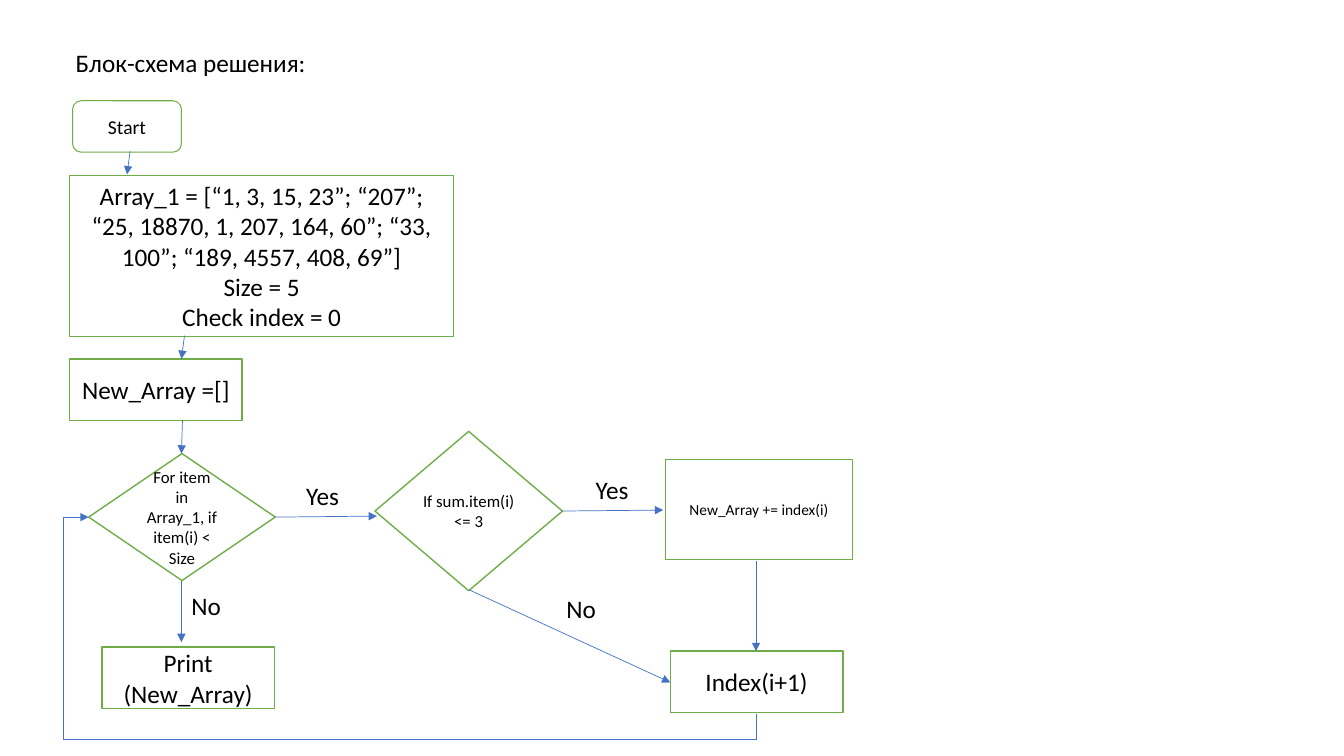
from pptx import Presentation
from pptx.dml.color import RGBColor
from pptx.enum.shapes import MSO_CONNECTOR as LINE, MSO_SHAPE as SHAPE
from pptx.enum.text import MSO_ANCHOR, MSO_AUTO_SIZE, PP_ALIGN
from pptx.oxml.ns import qn
from pptx.util import Inches, Pt
from lxml.etree import SubElement

COLORS = {"text": "000000", "fill": "FFFFFF", "box": "70AD47", "arrow": "4472C4"}
RGB = {name: RGBColor.from_string(value) for name, value in COLORS.items()}

prs = Presentation()
prs.slide_width, prs.slide_height = Inches(13.333), Inches(7.5)
slide = prs.slides.add_slide(prs.slide_layouts[5])

# Grid: 100 columns by 100 rows
COL, ROW = prs.slide_width / 100, prs.slide_height / 100
STEP = (12.83, 8.13)   # width and height of a small process box
LABEL = (4.2, 5.33)


def write(sp, text, size, align):
    tf = sp.text_frame
    tf.word_wrap = True
    tf.auto_size = MSO_AUTO_SIZE.NONE
    tf.text = text
    for p in tf.paragraphs:
        p.alignment = align
        p.font.name, p.font.size = "Calibri", Pt(size)
        p.font.color.rgb = RGB["text"]


def style_arrow(c):
    c.line.color.rgb = RGB["arrow"]
    c.line.width = Pt(0.5)
    props = c.line._get_or_add_ln()
    SubElement(props, qn("a:tailEnd"), type="triangle")
    SubElement(c._element.spPr, qn("a:effectLst"))


# Title
title = slide.shapes.title
title.left, title.top = int(4.88 * COL), int(5.6 * ROW)
title.width, title.height = int(19.35 * COL), int(5.33 * ROW)
write(title, "Блок-схема решения:", 18, PP_ALIGN.LEFT)
title.text_frame.vertical_anchor = MSO_ANCHOR.TOP

# Flowchart boxes: shape, column, row, (width, height), size, line, text
PROCESS, DECISION = SHAPE.FLOWCHART_PROCESS, SHAPE.FLOWCHART_DECISION
array_text = ("Array_1 = [“1, 3, 15, 23”; “207”; “25, 18870, 1, 207, 164, 60”; "
              "“33, 100”; “189, 4557, 408, 69”]\nSize = 5\nCheck index = 0")
boxes = [
    (SHAPE.FLOWCHART_ALTERNATE_PROCESS, 5.4, 13.33, (8.1, 6.8), 14, 0.75, "Start"),
    (PROCESS, 5.18, 23.2, (28.58, 21.33), 18, 1, array_text),
    (PROCESS, 5.18, 47.47, STEP, 18, 1, "New_Array =[]"),
    (DECISION, 6.6, 60, (13.88, 16.8), 12, 1, "For item in Array_1, if item(i) < Size"),
    (PROCESS, 7.58, 85.6, STEP, 18, 1, "Print (New_Array)"),
    (SHAPE.DIAMOND, 27.9, 57.07, (13.95, 21.07), 12, 1, "If sum.item(i) <= 3"),
    (SHAPE.RECTANGLE, 49.5, 60.8, (13.95, 13.2), 11, 1, "New_Array += index(i)"),
    (PROCESS, 49.88, 86.13, STEP, 18, 1, "Index(i+1)"),
]
for kind, x, y, (w, h), size, line, text in boxes:
    sp = slide.shapes.add_shape(kind, int(x * COL), int(y * ROW), int(w * COL), int(h * ROW))
    sp.shadow.inherit = False
    sp.fill.solid()
    sp.fill.fore_color.rgb = RGB["fill"]
    sp.line.color.rgb = RGB["box"]
    sp.line.width = Pt(line)
    write(sp, text, size, PP_ALIGN.CENTER)
    tf = sp.text_frame
    tf.vertical_anchor = MSO_ANCHOR.MIDDLE
    if kind == SHAPE.DIAMOND:
        tf.margin_left = tf.margin_right = tf.margin_top = tf.margin_bottom = 0

# Branch labels
for text, x, y in [("No", 13.5, 77.47), ("Yes", 22.05, 62.93),
                   ("Yes", 43.58, 62.13), ("No", 41.4, 77.87)]:
    label = slide.shapes.add_textbox(int(x * COL), int(y * ROW),
                                     int(LABEL[0] * COL), int(LABEL[1] * ROW))
    write(label, text, 18, PP_ALIGN.LEFT)

# Straight arrows: from column and row, to column and row
arrows = [
    (9.68, 20, 9.45, 23.07),           # start to array
    (13.73, 44.4, 13.5, 47.47),        # array to new array
    (13.58, 55.6, 13.5, 60),           # new array to loop test
    (13.5, 76.8, 13.5, 84.93),         # loop test to print
    (20.4, 68.4, 28.05, 68.27),        # loop test to sum test
    (41.78, 67.6, 49.35, 67.47),       # sum test to append
    (34.88, 78, 49.88, 90.27),         # sum test to next index
    (56.25, 74.27, 56.25, 86.13),      # append to next index
]
for x1, y1, x2, y2 in arrows:
    style_arrow(slide.shapes.add_connector(
        LINE.STRAIGHT, int(x1 * COL), int(y1 * ROW), int(x2 * COL), int(y2 * ROW)))

# Loop back from next index to the loop test: an elbow turned by 90 degrees
x1, y1, x2, y2 = 56.25 * COL, 94.4 * ROW, 6.6 * COL, 68.4 * ROW
mid_x, mid_y = (x1 + x2) / 2, (y1 + y2) / 2
half_w, half_h = (y1 - y2) / 2, (x1 - x2) / 2
loop = slide.shapes.add_connector(LINE.ELBOW, int(mid_x + half_w), int(mid_y - half_h),
                                  int(mid_x - half_w), int(mid_y + half_h))
loop._element.spPr.find(qn("a:xfrm")).set("rot", "5400000")
geom = loop._element.spPr.find(qn("a:prstGeom"))
geom.set("prst", "bentConnector4")
guides = geom.find(qn("a:avLst"))
for name, value in [("adj1", -12900), ("adj2", 103800)]:
    SubElement(guides, qn("a:gd"), name=name, fmla=f"val {value}")
style_arrow(loop)

prs.save("out.pptx")
